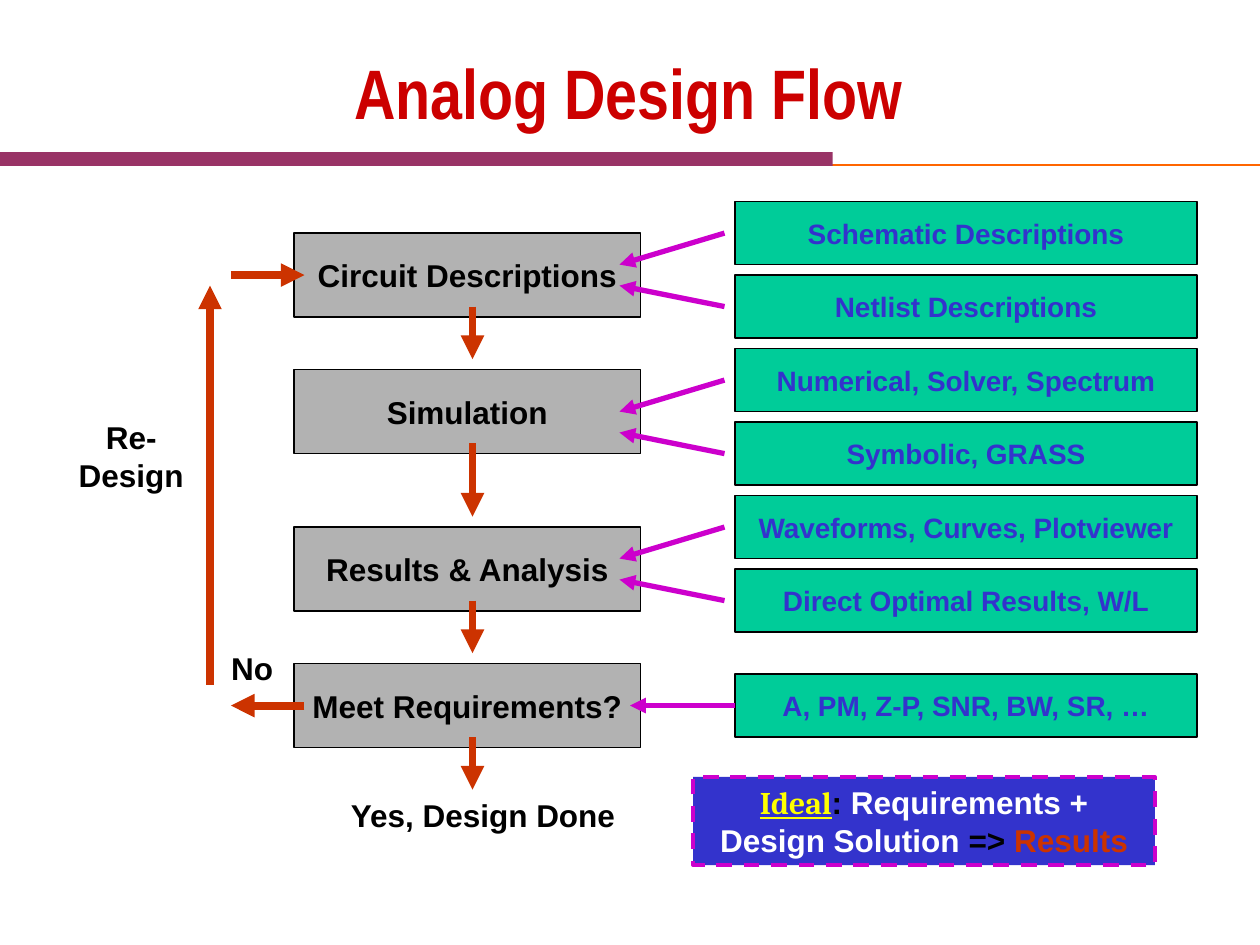
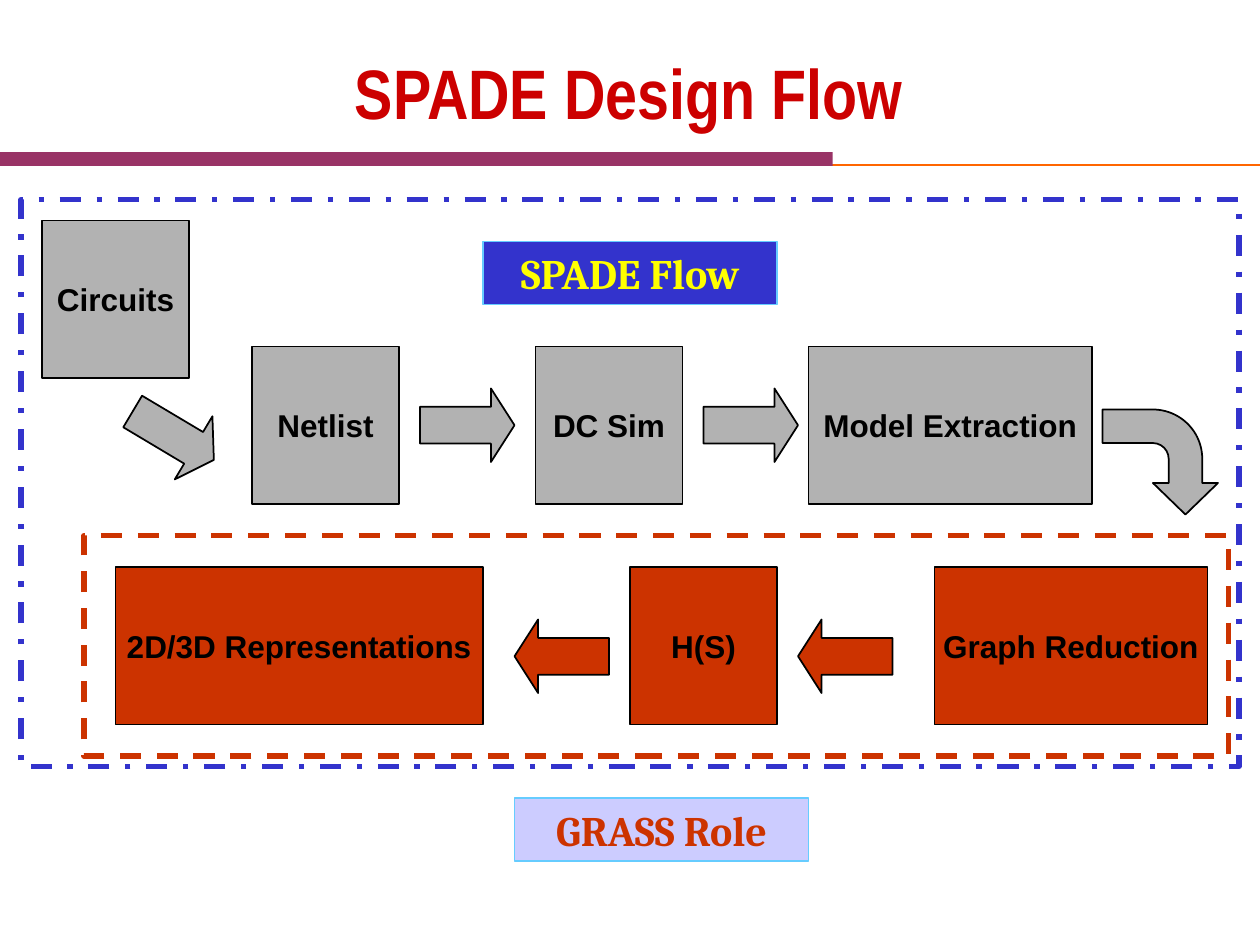
from dataclasses import dataclass

from lxml.etree import SubElement
from pptx import Presentation
from pptx.dml.color import RGBColor
from pptx.enum.dml import MSO_LINE
from pptx.enum.shapes import MSO_CONNECTOR, MSO_SHAPE
from pptx.enum.text import MSO_ANCHOR, MSO_AUTO_SIZE, PP_ALIGN
from pptx.oxml.ns import qn
from pptx.util import Inches, Pt

CELL = Inches(1) / 12  # the slide is a grid of 120 columns by 90 rows

BLACK, WHITE, GRAY = "000000", "FFFFFF", "B2B2B2"
TITLE_RED, PLUM, ORANGE = "CC0000", "993366", "FF6600"
RUST, BLUE, MAGENTA = "CC3300", "3333CC", "CC00CC"
GREEN, YELLOW, LAVENDER, SKY = "00CC99", "FFFF00", "CCCCFF", "66CCFF"


@dataclass
class Box:
    """A region of a slide, measured in grid cells."""
    slide: object
    col: float
    row: float
    cols: float
    rows: float

    def area(self, col, row, cols, rows):
        return Box(self.slide, self.col + col, self.row + row, cols, rows)

    def point(self, col, row):
        return round((self.col + col) * CELL), round((self.row + row) * CELL)

    def emu(self):
        return (*self.point(0, 0), round(self.cols * CELL), round(self.rows * CELL))


def rgb(value):
    return RGBColor.from_string(value)


def write(frame, text, size=18, color=BLACK, font="Arial", wrap=True,
          anchor=MSO_ANCHOR.TOP):
    """Text is a string, or a list of (string, format overrides)."""
    frame.word_wrap = wrap
    frame.auto_size = MSO_AUTO_SIZE.NONE
    frame.vertical_anchor = anchor
    paragraph = frame.paragraphs[0]
    paragraph.alignment = PP_ALIGN.CENTER
    for words, own in [(text, {})] if isinstance(text, str) else text:
        run = paragraph.add_run()
        run.text = words
        run.font.size = Pt(size)
        run.font.bold = True
        run.font.name = own.get("font", font)
        run.font.color.rgb = rgb(own.get("color", color))
        if own.get("underline"):
            run.font.underline = True


def block(box, fill=None, outline=BLACK, width=1, dash=None, kind=MSO_SHAPE.RECTANGLE,
          rotation=0, adjust=()):
    shape = box.slide.shapes.add_shape(kind, *box.emu())
    shape.shadow.inherit = False
    shape.rotation = rotation
    for index, value in enumerate(adjust):
        shape.adjustments[index] = value
    if fill:
        shape.fill.solid()
        shape.fill.fore_color.rgb = rgb(fill)
    else:
        shape.fill.background()
    if outline:
        shape.line.color.rgb = rgb(outline)
        shape.line.width = Pt(width)
        shape.line.dash_style = dash
    else:
        shape.line.fill.background()
    return shape


def stage(box, text, fill=GRAY, **text_format):
    write(block(box, fill).text_frame, text, wrap=False,
          anchor=MSO_ANCHOR.MIDDLE, **text_format)


def label(box, text):
    write(box.slide.shapes.add_textbox(*box.emu()).text_frame, text)


def tag(box, text, fill, color):
    write(block(box, fill, SKY).text_frame, text, size=24, color=color, font="Cambria")


def line(box, start, end, color, width, arrow=True):
    connector = box.slide.shapes.add_connector(
        MSO_CONNECTOR.STRAIGHT, *box.point(*start), *box.point(*end))
    connector.line.color.rgb = rgb(color)
    connector.line.width = Pt(width)
    properties = connector.element.spPr
    if arrow:
        SubElement(properties.find(qn("a:ln")), qn("a:tailEnd"), type="triangle")
    SubElement(properties, qn("a:effectLst"))
    return connector


def flow_arrow(box, start, end):
    line(box, start, end, RUST, 4.5)


def source_arrow(box, start, end):
    line(box, start, end, MAGENTA, 3)


def add_slide(deck, layout, title):
    slide = deck.slides.add_slide(layout)
    write(slide.shapes.title.text_frame, title, size=40, color=TITLE_RED,
          font="Arial Narrow", anchor=MSO_ANCHOR.MIDDLE)
    return Box(slide, 0, 0, 120, 90)


def decorate_layout(page, layout):
    """Move the rule and band into the layout, so that all slides share them."""
    heading = layout.placeholders[0]
    heading.left, heading.top, heading.width, heading.height = page.area(
        5.9, 3.85, 107.9, 9.7).emu()
    rule = line(page, (0, 15.7), (120, 15.7), ORANGE, 1, arrow=False)
    band = block(page.area(0, 14.5, 79.3, 1.3), PLUM, None)
    for decoration in (rule, band):
        layout.shapes.element.append(decoration.element)


def design_steps(box):
    steps = ["Circuit Descriptions", "Simulation", "Results & Analysis",
             "Meet Requirements?"]
    rows = [3, 16, 31, 44, 57]
    for step, row, next_row in zip(steps, rows, rows[1:]):
        stage(box.area(0, row, 33, 8), step)
        flow_arrow(box, (17, row + 7), (17, next_row - 1))
    label(box.area(4, 56, 28, 5), "Yes, Design Done")


def redesign_loop(box):
    flow_arrow(box, (24, 48), (17, 48))
    flow_arrow(box, (15, 46), (15, 8))
    flow_arrow(box, (17, 7), (24, 7))
    label(box.area(0, 20, 15, 8.4), "Re-Design")
    label(box.area(14, 42, 10, 5), "No")


def step_sources(box):
    """Stack the sources in pairs; the arrows of a pair meet at one step."""
    sources = ["Schematic Descriptions", "Netlist Descriptions",
               "Numerical, Solver, Spectrum", "Symbolic, GRASS",
               "Waveforms, Curves, Plotviewer", "Direct Optimal Results, W/L"]
    look = dict(fill=GREEN, size=16, color=BLUE)
    for index, source in enumerate(sources):
        row = 7 * index
        stage(box.area(0, row, box.cols, 6), source, **look)
        source_arrow(box, (-1, row + 3), (-11, row + (1 if index % 2 else 6)))
    stage(box.area(0, 45, box.cols, 6), "A, PM, Z-P, SNR, BW, SR, …", **look)
    source_arrow(box, (0, 48), (-10, 48))


def ideal_note(box):
    note = block(box, BLUE, MAGENTA, 2.25, MSO_LINE.DASH)
    write(note.text_frame, [
        ("Ideal", dict(font="Cambria", color=YELLOW, underline=True)),
        (": ", {}),
        ("Requirements + Design Solution", dict(color=WHITE)),
        (" => ", {}),
        ("Results", dict(color=RUST)),
    ])


def block_arrow(box, col, row, fill, rotation):
    block(box.area(col, row, 9, 7), fill, kind=MSO_SHAPE.RIGHT_ARROW,
          rotation=rotation, adjust=(0.5, 0.32))


def spade_flow(box):
    block(box, outline=BLUE, width=3, dash=MSO_LINE.DASH_DOT)
    tag(box.area(44, 4, 28, 6), "SPADE Flow", BLUE, YELLOW)
    for name, col, row, cols in [("Circuits", 2, 2, 14), ("Netlist", 22, 14, 14),
                                 ("DC Sim", 49, 14, 14), ("Model Extraction", 75, 14, 27)]:
        stage(box.area(col, row, cols, 15), name)
    for col, row, rotation in [(10, 19, 30.8), (38, 18, 0), (65, 18, 0)]:
        block_arrow(box, col, row, GRAY, rotation)
    block(box.area(103.5, 19.5, 10, 11), GRAY, kind=MSO_SHAPE.BENT_ARROW,
          rotation=90, adjust=(0.32, 0.31, 0.3, 0.47))


def grass_role(box):
    block(box, outline=RUST, width=3, dash=MSO_LINE.DASH)
    for name, col, cols in [("Graph Reduction", 81, 26), ("H(S)", 52, 14),
                            ("2D/3D Representations", 3, 35)]:
        stage(box.area(col, 3, cols, 15), name, RUST)
    for col in (68, 41):
        block_arrow(box, col, 8, RUST, 180)
    tag(box.area(41, 25, 28, 6), "GRASS Role", LAVENDER, RUST)


def main():
    deck = Presentation()
    deck.slide_width, deck.slide_height = Inches(10), Inches(7.5)
    layout = deck.slide_layouts[5]

    analog = add_slide(deck, layout, "Analog Design Flow")
    decorate_layout(analog, layout)
    design_steps(analog.area(28, 19.2, 33, 61))
    redesign_loop(analog.area(5, 19.2, 24, 50))
    step_sources(analog.area(70, 19.2, 44, 51))
    ideal_note(analog.area(66, 74, 44, 8.4))

    spade = add_slide(deck, layout, "SPADE Design Flow")
    spade_flow(spade.area(2, 19, 116, 54))
    grass_role(spade.area(8, 51, 109, 21))

    deck.save("out.pptx")


if __name__ == "__main__":
    main()
